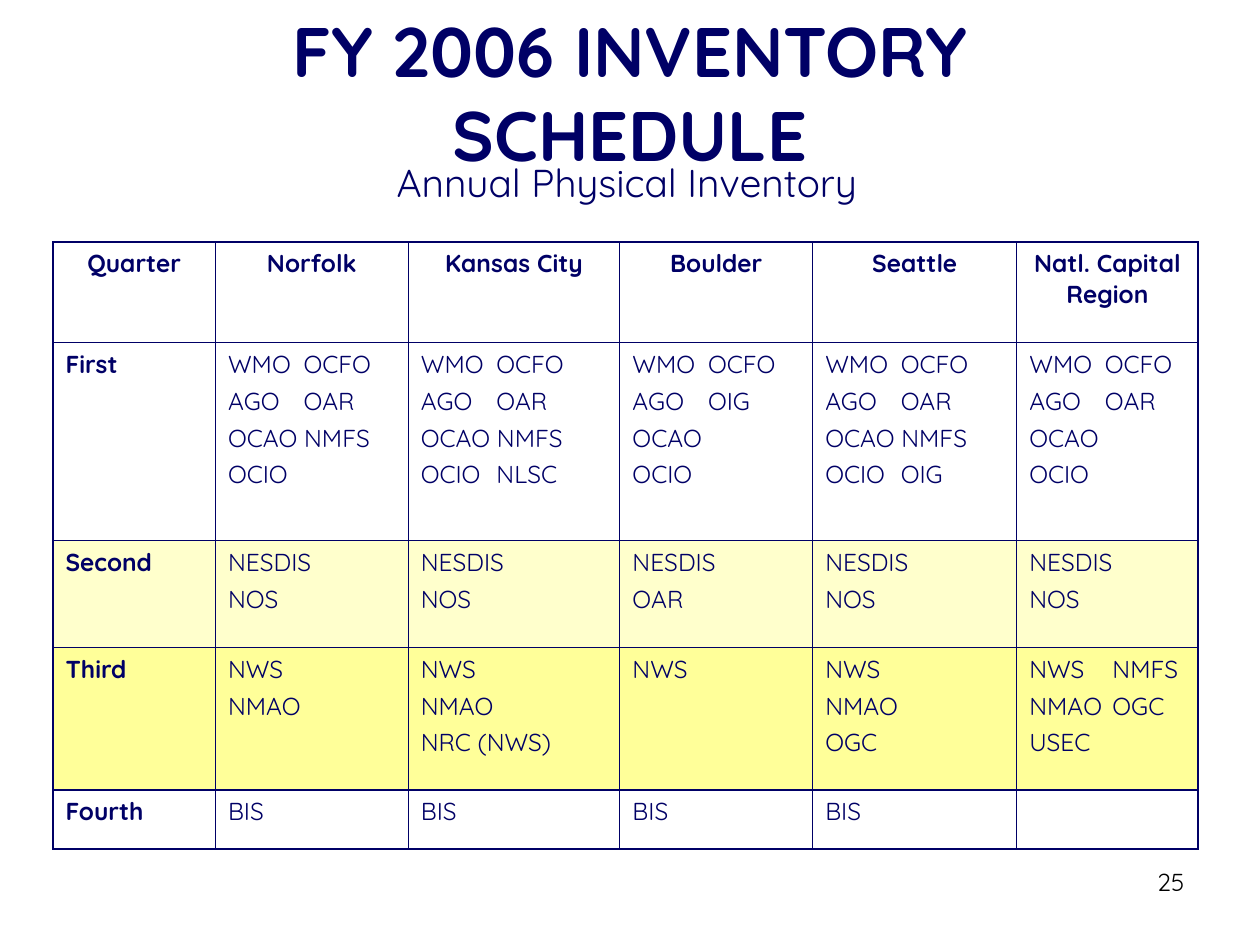
from lxml.etree import SubElement
from pptx import Presentation
from pptx.dml.color import RGBColor
from pptx.enum.text import MSO_ANCHOR as Anchor, PP_ALIGN as Align
from pptx.oxml.ns import qn
from pptx.util import Inches, Pt

COLORS = {"navy": "000066", "black": "000000", "white": "FFFFFF",
          "cream": "FFFFCC", "yellow": "FFFF99"}
COLUMN_WIDTHS = [1.29, 1.53, 1.68, 1.53, 1.62, 1.44]
HEADINGS = ["Quarter", "Norfolk", "Kansas City", "Boulder", "Seattle",
            "Natl. Capital Region"]
# Quarter, row height, fill, tab stop, offices of each city
QUARTERS = [
    ("First", 1.57, "white", 0.6, [
        ["WMO\tOCFO", "AGO\tOAR", "OCAO NMFS", "OCIO"],
        ["WMO\tOCFO", "AGO\tOAR", "OCAO NMFS", "OCIO\tNLSC"],
        ["WMO\tOCFO", "AGO\tOIG", "OCAO", "OCIO"],
        ["WMO\tOCFO", "AGO\tOAR", "OCAO NMFS", "OCIO\tOIG"],
        ["WMO\tOCFO", "AGO\tOAR", "OCAO", "OCIO"]]),
    ("Second", 0.85, "cream", 0.6, [
        ["NESDIS", "NOS"], ["NESDIS", "NOS"], ["NESDIS", "OAR"],
        ["NESDIS", "NOS"], ["NESDIS", "NOS"]]),
    ("Third", 1.13, "yellow", 0.66, [
        ["NWS", "NMAO"], ["NWS", "NMAO", "NRC (NWS)"], ["NWS"],
        ["NWS", "NMAO", "OGC"], ["NWS\tNMFS", "NMAO\tOGC", "USEC"]]),
    ("Fourth", 0.47, "white", 0.6, [["BIS"], ["BIS"], ["BIS"], ["BIS"], []]),
]


class SlideWriter:
    font = "Quicksand"
    table_size = 14
    inner_line, outer_line = 0.75, 1.08

    def __init__(self, slide):
        self.slide = slide

    def run(self, paragraph, text, size, color="navy", bold=False):
        run = paragraph.add_run()
        run.text = text
        run.font.name = self.font
        run.font.size = Pt(size)
        run.font.bold = bold
        run.font.color.rgb = RGBColor.from_string(COLORS[color])

    def text_box(self, bounds, lines, size, align=Align.CENTER, anchor=Anchor.TOP,
                 color="navy", bold=False, line_spacing=None):
        box = self.slide.shapes.add_textbox(*map(Inches, bounds))
        frame = box.text_frame
        frame.word_wrap = True
        frame.vertical_anchor = anchor
        paragraph = frame.paragraphs[0]
        paragraph.alignment = align
        paragraph.line_spacing = line_spacing
        for number, line in enumerate(lines):
            if number:
                paragraph.add_line_break()
            self.run(paragraph, line, size, color, bold)

    def cell(self, cell, lines, fill, widths, align=Align.LEFT, bold=False, tab=None):
        """Fill one cell; widths are the left, right, top and bottom lines in points."""
        cell.fill.solid()
        cell.fill.fore_color.rgb = RGBColor.from_string(COLORS[fill])
        self.borders(cell, widths)
        frame = cell.text_frame
        for number, line in enumerate(lines):
            paragraph = frame.add_paragraph() if number else frame.paragraphs[0]
            paragraph.alignment = align
            if number:
                paragraph.space_before = Pt(3.5)
            if "\t" in line:
                tabs = SubElement(paragraph._p.get_or_add_pPr(), qn("a:tabLst"))
                SubElement(tabs, qn("a:tab"), pos=str(Inches(tab)), algn="l")
            self.run(paragraph, line, self.table_size, bold=bold)

    def borders(self, cell, widths):
        properties = cell._tc.get_or_add_tcPr()
        for position, (side, width) in enumerate(zip("LRTB", widths)):
            line = SubElement(properties, qn(f"a:ln{side}"), w=str(Pt(width)))
            fill = SubElement(line, qn("a:solidFill"))
            SubElement(fill, qn("a:srgbClr"), val=COLORS["navy"])
            properties.insert(position, line)

    def schedule(self, left, top, headings, column_widths, quarters):
        heights = [0.8] + [quarter[1] for quarter in quarters]
        last_row, last_column = len(quarters), len(headings) - 1
        table = self.slide.shapes.add_table(
            len(heights), len(headings), Inches(left), Inches(top),
            Inches(sum(column_widths)), Inches(sum(heights))).table
        table.first_row = table.horz_banding = False
        for column, width in zip(table.columns, column_widths):
            column.width = Inches(width)
        for row, height in zip(table.rows, heights):
            row.height = Inches(height)

        def widths(row, column):
            edges = (column == 0, column == last_column, row == 0, row == last_row)
            return [self.outer_line if edge else self.inner_line for edge in edges]

        for column, heading in enumerate(headings):
            self.cell(table.cell(0, column), [heading], "white", widths(0, column),
                      align=Align.CENTER, bold=True)
        for row, (name, _, fill, tab, offices) in enumerate(quarters, 1):
            for column, lines in enumerate([[name]] + offices):
                self.cell(table.cell(row, column), lines, fill, widths(row, column),
                          bold=column == 0, tab=tab)


def main():
    presentation = Presentation()
    presentation.slide_width, presentation.slide_height = Inches(10), Inches(7.5)
    writer = SlideWriter(presentation.slides.add_slide(presentation.slide_layouts[6]))
    writer.text_box((0.5, 0.3, 9, 0.86), ["FY 2006 INVENTORY", "SCHEDULE"], 40,
                    anchor=Anchor.MIDDLE, bold=True)
    writer.text_box((0.92, 1.25, 8.11, 0.5), ["Annual Physical Inventory"], 22.2,
                    line_spacing=0.9)
    writer.schedule(0.42, 1.92, HEADINGS, COLUMN_WIDTHS, QUARTERS)
    writer.text_box((7.17, 6.83, 2.33, 0.52), ["25"], 14, align=Align.RIGHT,
                    color="black")
    presentation.save("out.pptx")


if __name__ == "__main__":
    main()
